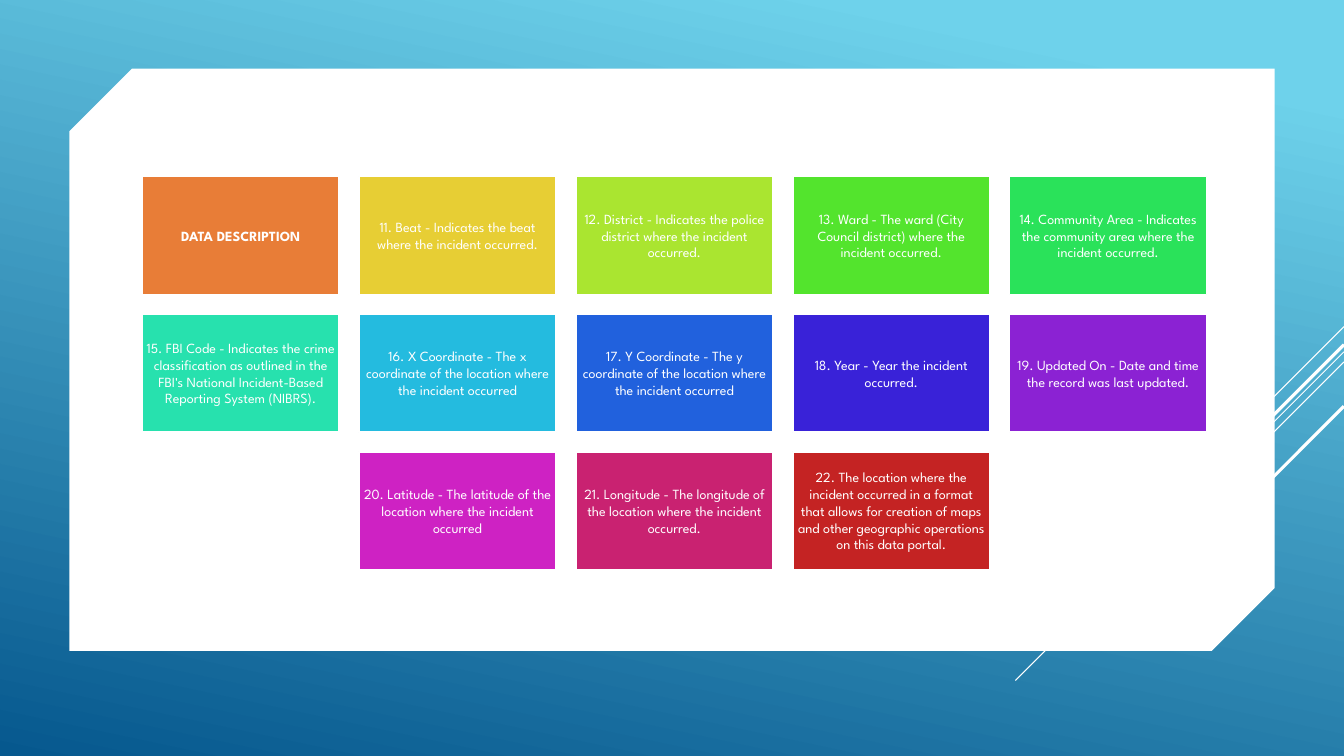
from lxml.etree import SubElement
from pptx import Presentation
from pptx.dml.color import RGBColor
from pptx.enum.shapes import MSO_CONNECTOR, MSO_SHAPE
from pptx.enum.text import MSO_ANCHOR, PP_ALIGN
from pptx.oxml.ns import qn
from pptx.util import Pt

WHITE = RGBColor(0xFF, 0xFF, 0xFF)
SKY = RGBColor(0x6E, 0xD2, 0xEB)
DEEP_BLUE = RGBColor(0x06, 0x58, 0x8E)
FONT = "League Spartan"

SLIDE_WIDTH, SLIDE_HEIGHT = 960, 540
GRID_LEFT, GRID_TOP = 101.5, 126
TILE_WIDTH, TILE_HEIGHT = 140.8, 84.4
COLUMN_STEP, ROW_STEP = 154.9, 98.3
COLUMNS = 5

STREAKS = [
    (233.3, 72, 0.75),
    (251.3, 234.7, 0.75),
    (258.5, 149, 0.75),
    (246.2, 137.5, 2.25),
    (290.2, 100, 2.25),
]

TILES = [
    (RGBColor(0xE8, 0x7D, 0x37), "DATA DESCRIPTION"),
    (RGBColor(0xE7, 0xCE, 0x34), "11. Beat - Indicates the beat where the incident occurred."),
    (RGBColor(0xAA, 0xE5, 0x30), "12. District - Indicates the police district where the incident occurred."),
    (RGBColor(0x53, 0xE4, 0x2D), "13. Ward - The ward (City Council district) where the incident occurred."),
    (RGBColor(0x2A, 0xE2, 0x5A), "14. Community Area - Indicates the community area where the incident occurred."),
    (RGBColor(0x27, 0xE1, 0xAE), "15. FBI Code - Indicates the crime classification as outlined in the "
                                 "FBI's National Incident-Based Reporting System (NIBRS)."),
    (RGBColor(0x24, 0xBB, 0xDF), "16. X Coordinate - The x coordinate of the location where the incident occurred"),
    (RGBColor(0x21, 0x61, 0xDD), "17. Y Coordinate - The y coordinate of the location where the incident occurred"),
    (RGBColor(0x39, 0x22, 0xD8), "18. Year - Year the incident occurred."),
    (RGBColor(0x8B, 0x22, 0xD3), "19. Updated On - Date and time the record was last updated."),
    (RGBColor(0xCE, 0x22, 0xC3), "20. Latitude - The latitude of the location where the incident occurred"),
    (RGBColor(0xC9, 0x22, 0x71), "21. Longitude - The longitude of the location where the incident occurred."),
    (RGBColor(0xC4, 0x23, 0x23), "22. The location where the incident occurred in a format that allows for "
                                 "creation of maps and other geographic operations on this data portal."),
]


def paint_background(page):
    fill = page.background.fill
    fill.gradient()
    fill.gradient_angle = 258
    for stop, color, position in zip(fill.gradient_stops, (SKY, DEEP_BLUE), (0.1, 1)):
        stop.color.rgb = color
        stop.position = position


def add_streak(page, top, run, weight):
    streak = page.shapes.add_connector(
        MSO_CONNECTOR.STRAIGHT,
        Pt(SLIDE_WIDTH), Pt(top), Pt(SLIDE_WIDTH - run), Pt(top + run))
    streak.line.color.rgb = WHITE
    streak.line.width = Pt(weight)
    SubElement(streak._element.spPr, qn("a:effectLst"))


def add_panel(page):
    panel = page.shapes.add_shape(
        MSO_SHAPE.SNIP_2_DIAG_RECTANGLE, Pt(49.5), Pt(49), Pt(861), Pt(416))
    panel.adjustments[0] = 0.108
    panel.adjustments[1] = 0
    panel.shadow.inherit = False
    panel.fill.solid()
    panel.fill.fore_color.rgb = WHITE
    panel.line.fill.background()


def add_tile(page, left, top, color, text, bold):
    tile = page.shapes.add_shape(
        MSO_SHAPE.RECTANGLE, Pt(left), Pt(top), Pt(TILE_WIDTH), Pt(TILE_HEIGHT))
    tile.shadow.inherit = False
    tile.fill.solid()
    tile.fill.fore_color.rgb = color
    tile.line.color.rgb = WHITE
    tile.line.width = Pt(1.25)
    frame = tile.text_frame
    frame.word_wrap = True
    frame.vertical_anchor = MSO_ANCHOR.MIDDLE
    frame.margin_left = frame.margin_right = Pt(3)
    frame.margin_top = frame.margin_bottom = Pt(3)
    para = frame.paragraphs[0]
    para.text = text
    para.alignment = PP_ALIGN.CENTER
    para.space_after = Pt(3.5)
    para.font.name = FONT
    para.font.size = Pt(10)
    para.font.bold = bold
    para.font.color.rgb = WHITE


def add_tile_grid(page):
    for index, (color, text) in enumerate(TILES):
        row, column = divmod(index, COLUMNS)
        tiles_in_row = min(COLUMNS, len(TILES) - row * COLUMNS)
        column += (COLUMNS - tiles_in_row) / 2
        add_tile(page, GRID_LEFT + column * COLUMN_STEP, GRID_TOP + row * ROW_STEP,
                 color, text, bold=index == 0)


def main():
    deck = Presentation()
    deck.slide_width, deck.slide_height = Pt(SLIDE_WIDTH), Pt(SLIDE_HEIGHT)
    page = deck.slides.add_slide(deck.slide_layouts[6])
    paint_background(page)
    for top, run, weight in STREAKS:
        add_streak(page, top, run, weight)
    add_panel(page)
    add_tile_grid(page)
    deck.save("out.pptx")


if __name__ == "__main__":
    main()
